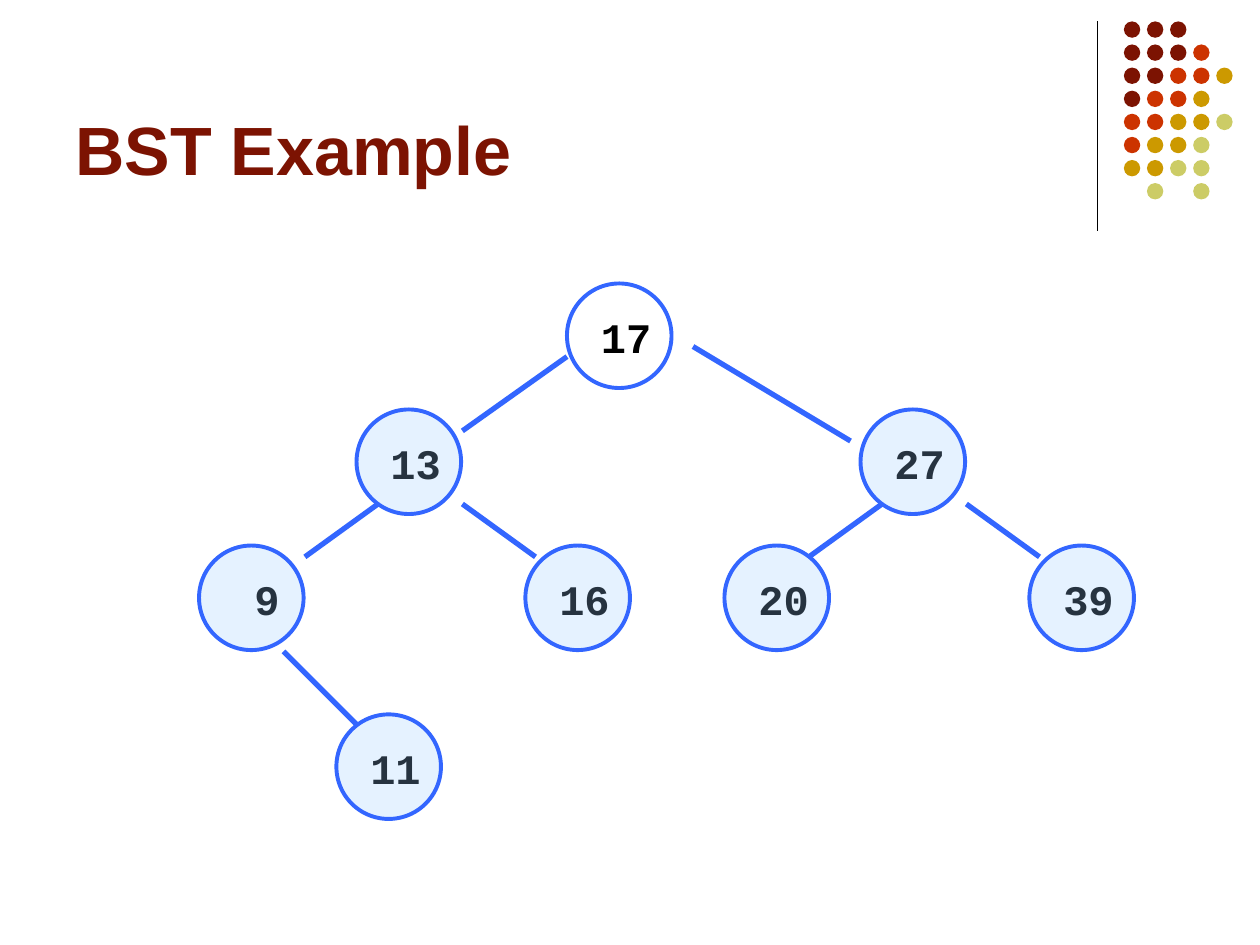
from lxml.etree import SubElement
from pptx import Presentation
from pptx.dml.color import RGBColor
from pptx.enum.shapes import MSO_CONNECTOR, MSO_SHAPE
from pptx.enum.text import MSO_ANCHOR, PP_ALIGN
from pptx.oxml.ns import qn
from pptx.util import Inches, Pt

BLUE, PALE_BLUE, MAROON, BLACK = "3366FF", "99CCFF", "7C1302", "000000"
NODE_SIZE = 0.83
LABEL_OFFSET = 0.17

# Tree nodes: value -> left and top of the circle
NODES = {
    "17": (4.5, 2.25),
    "13": (2.83, 3.25),
    "27": (6.83, 3.25),
    "9": (1.58, 4.33),
    "16": (4.17, 4.33),
    "20": (5.75, 4.33),
    "39": (8.17, 4.33),
    "11": (2.67, 5.67),
}
ROOT = "17"

# Tree edges: start x, start y, end x, end y
EDGES = [
    (4.5, 2.83, 3.67, 3.42),
    (5.5, 2.75, 6.75, 3.5),
    (3, 4, 2.42, 4.42),
    (3.67, 4, 4.25, 4.42),
    (7, 4, 6.42, 4.42),
    (7.67, 4, 8.25, 4.42),
    (2.25, 5.17, 2.83, 5.75),
]

# Corner dots: one letter per dot, a space where there is none
DOT_ROWS = ["MMM", "MMMR", "MMRRG", "MRRG", "RRGGL", "RGGL", "GGLL", " L L"]
DOT_COLOURS = {"M": MAROON, "R": "CC3300", "G": "CC9900", "L": "CCCC66"}
DOT_SIZE = 0.13
DOT_STEP = 0.55 / 3


def colour(value):
    return RGBColor.from_string(value)


def add_line(page, ends, line_colour, width):
    line = page.shapes.add_connector(
        MSO_CONNECTOR.STRAIGHT, *(Inches(end) for end in ends))
    line.line.color.rgb = colour(line_colour)
    line.line.width = Pt(width)
    SubElement(line._element.spPr, qn("a:effectLst"))


def add_circle(shapes, left, top, size, fill=None, outline=None, opacity=100):
    circle = shapes.add_shape(
        MSO_SHAPE.OVAL, Inches(left), Inches(top), Inches(size), Inches(size))
    circle.shadow.inherit = False
    if fill:
        circle.fill.solid()
        circle.fill.fore_color.rgb = colour(fill)
        if opacity < 100:
            tint = circle._element.spPr.find(qn("a:solidFill"))[0]
            SubElement(tint, qn("a:alpha"), val=str(opacity * 1000))
    else:
        circle.fill.background()
    if outline:
        circle.line.color.rgb = colour(outline)
        circle.line.width = Pt(2.25)
    else:
        circle.line.fill.background()


def format_text(paragraph, font_name, size, font_colour):
    font = paragraph.runs[0].font
    font.name = font_name
    font.size = Pt(size)
    font.bold = True
    font.color.rgb = colour(font_colour)


def add_label(page, value, left, top):
    box = page.shapes.add_textbox(
        Inches(left), Inches(top), Inches(0.75), Inches(0.5))
    box.text_frame.word_wrap = True
    box.text_frame.text = value
    format_text(box.text_frame.paragraphs[0], "Courier New", 24, BLACK)


def add_title(page, text):
    title = page.shapes.title
    title.left, title.top = Inches(0.5), Inches(0.13)
    title.width, title.height = Inches(8.25), Inches(1.42)
    frame = title.text_frame
    frame.text = text
    frame.vertical_anchor = MSO_ANCHOR.BOTTOM
    frame.paragraphs[0].alignment = PP_ALIGN.LEFT
    format_text(frame.paragraphs[0], "Arial", 39, MAROON)


def add_corner_dots(page):
    group = page.shapes.add_group_shape()
    for row, letters in enumerate(DOT_ROWS):
        for column, letter in enumerate(letters):
            if letter in DOT_COLOURS:
                add_circle(group.shapes, 8.92 + column * DOT_STEP,
                           0.17 + row * DOT_STEP, DOT_SIZE, DOT_COLOURS[letter])


def add_tree(page):
    # Labels lie behind the see-through circles; one digit sits further right
    for value, (left, top) in NODES.items():
        shift = LABEL_OFFSET * (2 if len(value) == 1 else 1)
        add_label(page, value, left + shift, top + LABEL_OFFSET)
    for ends in EDGES:
        add_line(page, ends, BLUE, 3)
    for value, (left, top) in NODES.items():
        fill = None if value == ROOT else PALE_BLUE
        add_circle(page.shapes, left, top, NODE_SIZE, fill, BLUE, opacity=25)


def main():
    deck = Presentation()
    deck.slide_width, deck.slide_height = Inches(10), Inches(7.5)
    page = deck.slides.add_slide(deck.slide_layouts[5])
    # Corner decoration
    add_line(page, (8.71, 0.17, 8.71, 1.83), BLACK, 0.75)
    add_corner_dots(page)
    # Content
    add_title(page, "BST Example")
    add_tree(page)
    deck.save("out.pptx")


if __name__ == "__main__":
    main()
